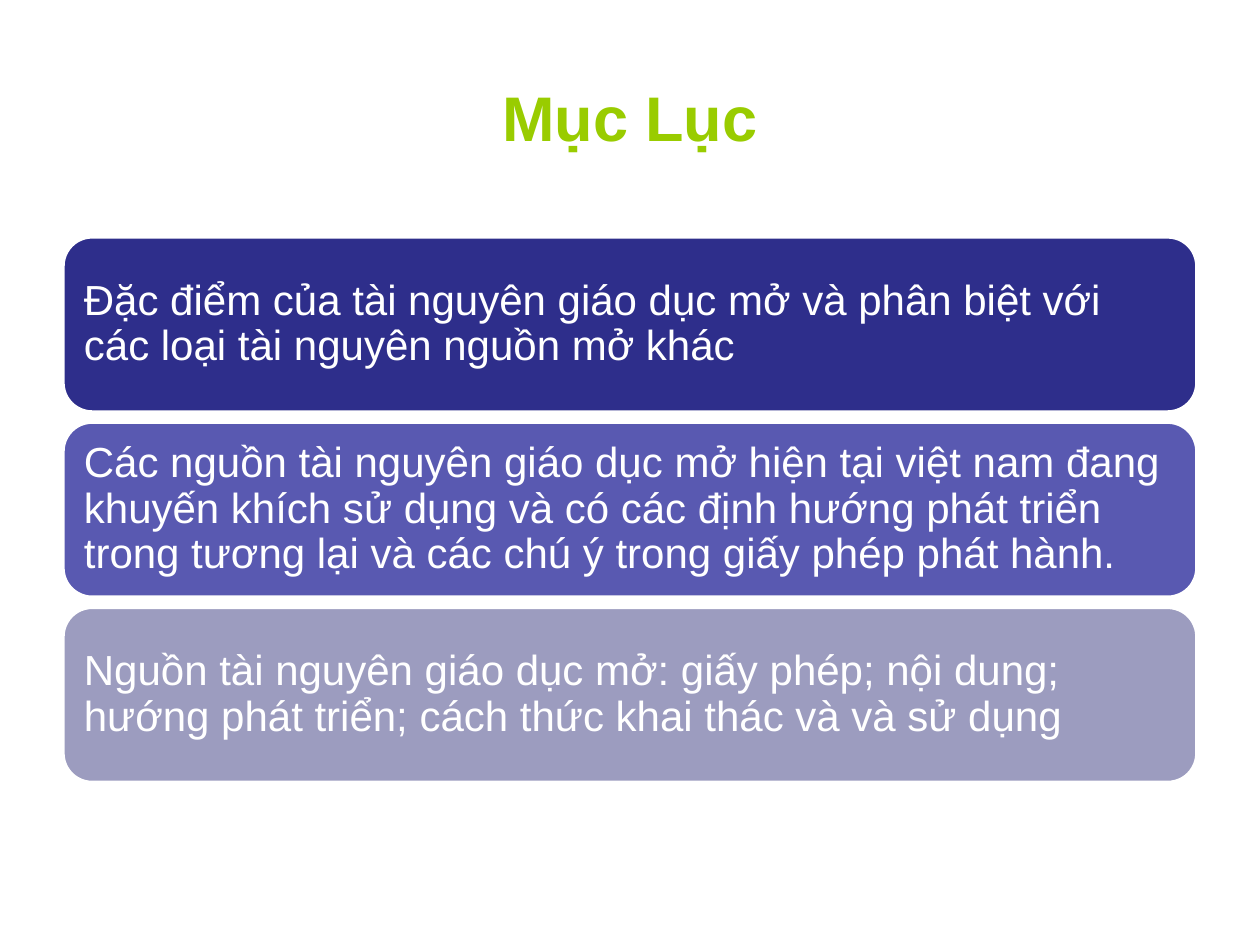
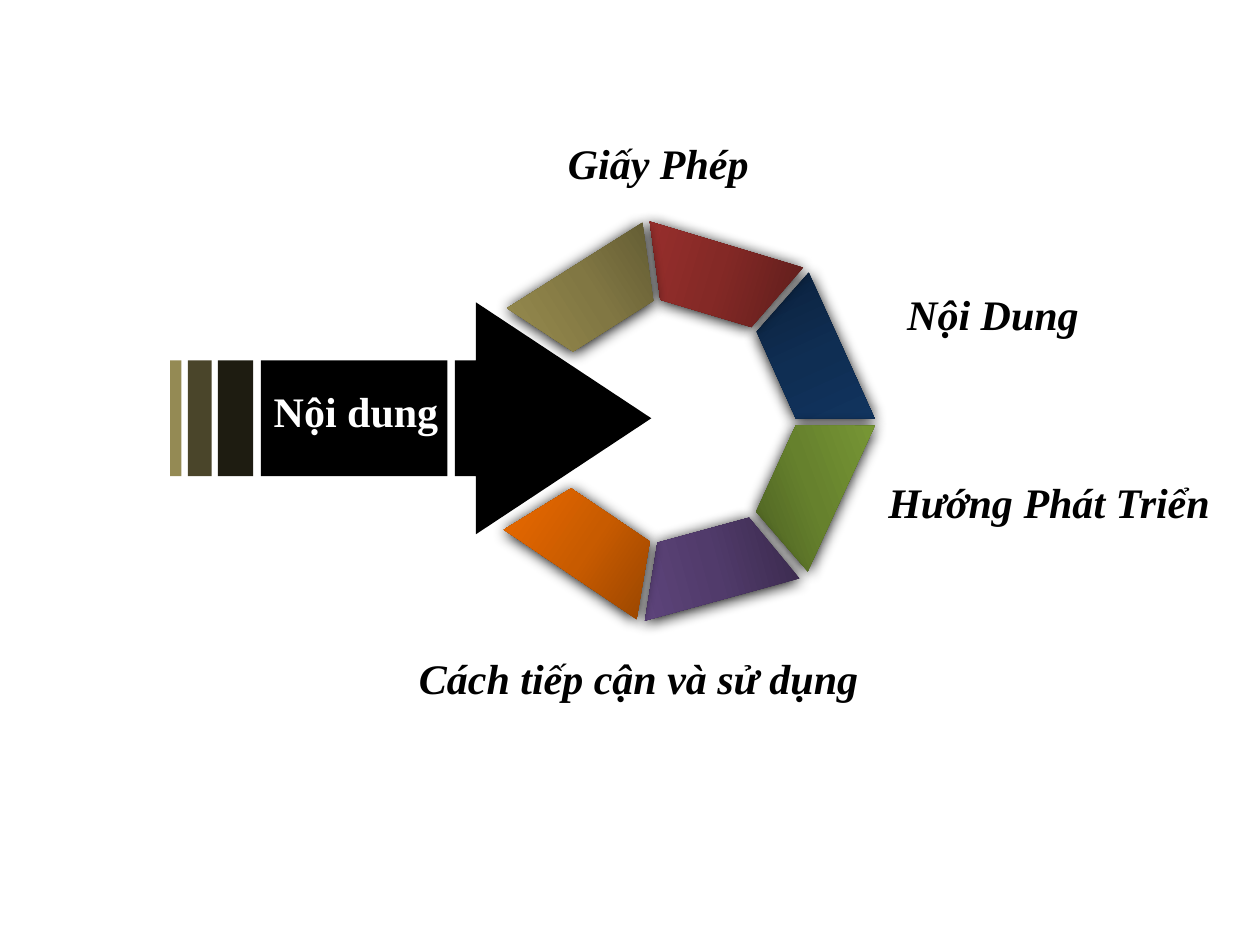
import copy
import math

import pptx
import pptx.dml.color
import pptx.enum.shapes
import pptx.enum.text
import pptx.oxml
import pptx.oxml.ns
import pptx.util

Inches = pptx.util.Inches
Pt = pptx.util.Pt
Kind = pptx.enum.shapes.MSO_SHAPE
Align = pptx.enum.text.PP_ALIGN
Anchor = pptx.enum.text.MSO_ANCHOR

HUES = {
    "black": "000000", "white": "FFFFFF", "lime": "99CC00",
    "navy": "2E2E8B", "indigo": "5959B1", "mist": "9C9CBF",
    "soot": "1E1C11", "olive": "4A452A", "sand": "948A54",
}
RAMPS = {
    "blue": ("0B203B", "0F2E53", "123663"),
    "green": ("485B20", "66812D", "799936"),
    "purple": ("39294B", "513B6B", "60467E"),
    "orange": ("8D4000", "C85B00", "EE6B00"),
    "red": ("5D1D1B", "842926", "9C302E"),
    "khaki": ("5A542F", "817743", "998D4F"),
}
SANS, SERIF = "Arial", "Times New Roman"
GLOW = (
    '<a:outerShdw xmlns:a="http://schemas.openxmlformats.org/drawingml/2006/main"'
    ' blurRad="107950" dist="12700" dir="5400000" algn="ctr" rotWithShape="0">'
    '<a:srgbClr val="000000"/></a:outerShdw>'
)
TOPICS = (
    ("navy", "Đặc điểm của tài nguyên giáo dục mở và phân biệt với các loại "
             "tài nguyên nguồn mở khác"),
    ("indigo", "Các nguồn tài nguyên giáo dục mở hiện tại việt nam đang khuyến khích "
               "sử dụng và có các định hướng phát triển trong tương lại và các chú ý "
               "trong giấy phép phát hành."),
    ("mist", "Nguồn tài nguyên giáo dục mở: giấy phép; nội dung; hướng phát triển; "
             "cách thức khai thác và và sử dụng"),
)
BLADES = (
    ("blue", 65.7, 0, False), ("green", 114.7, 135, False),
    ("purple", 164.7, 0, False), ("orange", 214, 0, False),
    ("red", 16.7, 0, True), ("khaki", 327.7, 0, True),
)
LABELS = (
    ("Giấy Phép", 4.39, 1.04, 1.65), ("Nội Dung", 7.08, 2.24, 1.58),
    ("Hướng Phát Triển", 6.91, 3.73, 2.79),
    ("Cách tiếp cận và sử dụng", 3.19, 5.13, 3.72),
)


def tint(code):
    """Return the colour for a hex string."""
    return pptx.dml.color.RGBColor.from_string(code)


def write(frame, text, font, size, hue, align, bold=False, slant=False):
    """Set one paragraph of text and format its run."""
    frame.text = text
    para = frame.paragraphs[0]
    para.alignment = align
    face = para.runs[0].font
    face.name, face.size, face.bold, face.italic = font, Pt(size), bold, slant
    face.color.rgb = tint(HUES[hue])
    return para


def draw(slide, kind, left, top, width, height, hue="black"):
    """Add a flat preset shape without a line."""
    shape = slide.shapes.add_shape(
        kind, Inches(left), Inches(top), Inches(width), Inches(height))
    shape.shadow.inherit = False
    shape.fill.solid()
    shape.fill.fore_color.rgb = tint(HUES[hue])
    shape.line.fill.background()
    return shape


def head(slide, text, left, top, width, height):
    """Place and format the title."""
    title = slide.shapes.title
    title.left, title.top = Inches(left), Inches(top)
    title.width, title.height = Inches(width), Inches(height)
    title.text_frame.vertical_anchor = Anchor.MIDDLE
    write(title.text_frame, text, SANS, 36, "lime", Align.CENTER, bold=True)


def panels(slide, left, top, width, height, gap=0.08):
    """Stack the topic panels evenly in the box."""
    tall = (height - gap * (len(TOPICS) - 1)) / len(TOPICS)
    for row, (hue, text) in enumerate(TOPICS):
        panel = draw(slide, Kind.ROUNDED_RECTANGLE, left,
                     top + row * (tall + gap), width, tall, hue)
        panel.line.color.rgb = tint(HUES["white"])
        panel.line.width = Pt(2)
        frame = panel.text_frame
        frame.word_wrap = True
        frame.vertical_anchor = Anchor.MIDDLE
        frame.margin_left = frame.margin_right = Inches(0.1)
        frame.margin_top = frame.margin_bottom = Inches(0.1)
        para = write(frame, text, SANS, 24, "white", Align.LEFT)
        para.line_spacing = 0.9


def shade(shape, ramp, angle):
    """Fill a shape with a three-stop gradient and a soft shadow."""
    shape.fill.gradient()
    props = shape._element.spPr
    stops = props.find(pptx.oxml.ns.qn("a:gradFill"))[0]
    stops.insert(1, copy.deepcopy(stops[0]))
    for place, (stop, code) in enumerate(zip(shape.fill.gradient_stops, ramp)):
        stop.position = place / 2
        stop.color.rgb = tint(code)
    shape.fill.gradient_angle = -angle % 360
    props.find(pptx.oxml.ns.qn("a:effectLst")).append(pptx.oxml.parse_xml(GLOW))


def wheel(slide, left, top, size):
    """Set the blades around the centre of a square box."""
    width, height = 1.27, 0.57
    reach = (size - height) / 2
    for name, turn, angle, flip in BLADES:
        way = math.radians(turn)
        mid = left + size / 2 + reach * math.sin(way)
        level = top + size / 2 - reach * math.cos(way)
        blade = draw(slide, Kind.TRAPEZOID, mid - width / 2,
                     level - height / 2, width, height)
        blade.adjustments[0] = 0.453
        blade.rotation = turn
        form = blade._element.spPr.get_or_add_xfrm()
        form.set("flipV", "1")
        if flip:
            form.set("flipH", "1")
        shade(blade, RAMPS[name], angle)


def arrow(slide, left, top, height):
    """Draw the arrow with its striped tail and caption."""
    tip = draw(slide, Kind.RIGHT_ARROW, left + 2.26, top, 1.56, height)
    tip.adjustments[0], tip.adjustments[1] = 0.5, 0.892
    bars = ((0.72, 1.48, "black"), (0.38, 0.28, "soot"),
            (0.14, 0.19, "olive"), (0, 0.09, "sand"))
    for shift, width, hue in bars:
        draw(slide, Kind.RECTANGLE, left + shift, top + height / 4,
             width, height / 2, hue)
    label(slide, "Nội dung", left + 0.55, top + 0.61, 1.85,
          "white", Align.CENTER, slant=False, wrap=True)


def label(slide, text, left, top, width, hue="black", align=Align.RIGHT,
          slant=True, wrap=False):
    """Add a bold serif label."""
    box = slide.shapes.add_textbox(
        Inches(left), Inches(top), Inches(width), Inches(0.5))
    frame = box.text_frame
    frame.word_wrap = wrap
    frame.auto_size = pptx.enum.text.MSO_AUTO_SIZE.SHAPE_TO_FIT_TEXT
    write(frame, text, SERIF, 24, hue, align, True, slant)


def agenda(deck):
    """Build the contents slide."""
    slide = deck.slides.add_slide(deck.slide_layouts[5])
    head(slide, "Mục Lục", 0.5, 0.3, 9, 1.25)
    panels(slide, 0.5, 1.88, 9, 4.33)


def cycle(deck):
    """Build the wheel slide."""
    slide = deck.slides.add_slide(deck.slide_layouts[6])
    wheel(slide, 3.88, 1.88, 2.93)
    arrow(slide, 1.35, 2.4, 1.84)
    for text, left, top, width in LABELS:
        label(slide, text, left, top, width)


def main():
    """Build and save the deck."""
    deck = pptx.Presentation()
    deck.slide_width, deck.slide_height = Inches(10), Inches(7.5)
    agenda(deck)
    cycle(deck)
    deck.save("out.pptx")


if __name__ == "__main__":
    main()
